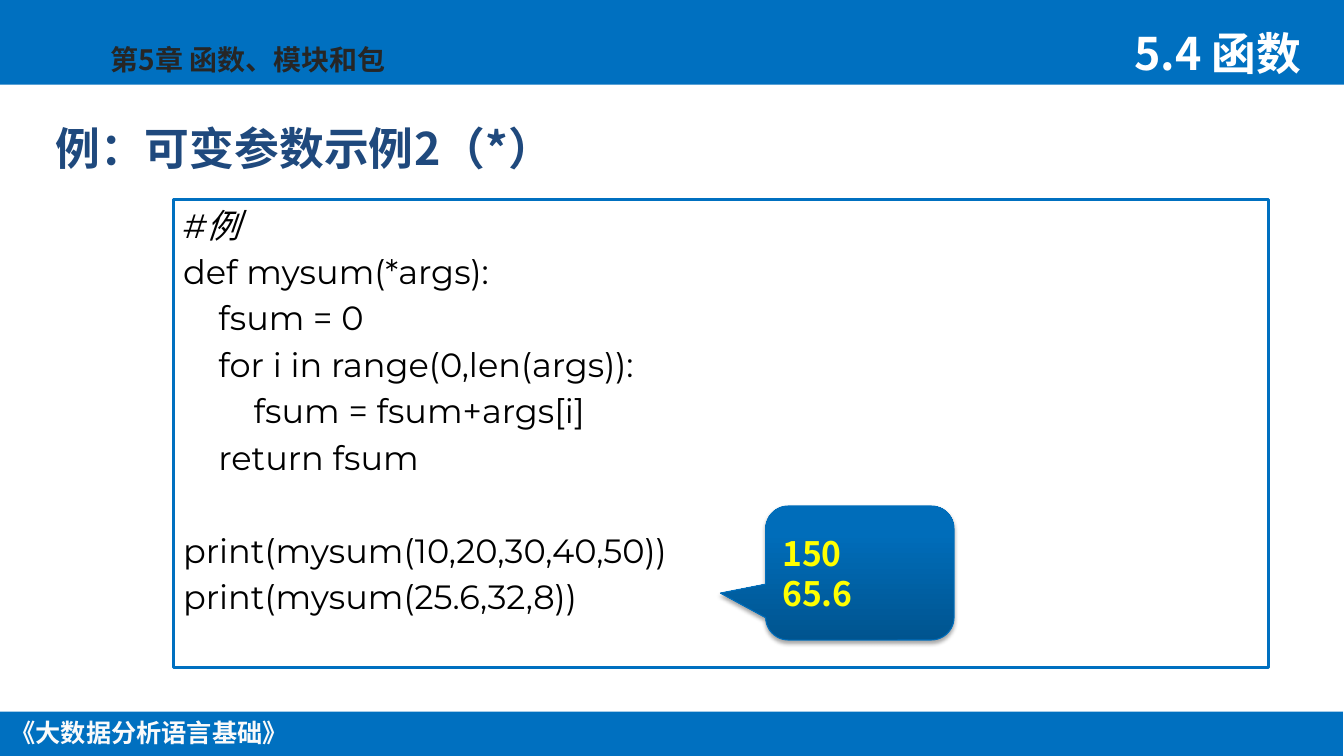
from dataclasses import dataclass
from typing import Optional

import lxml.etree
import pptx
import pptx.dml.color
import pptx.enum.shapes
import pptx.enum.text
import pptx.oxml.ns
import pptx.util

RGBColor = pptx.dml.color.RGBColor
ShapeType = pptx.enum.shapes.MSO_SHAPE
Align = pptx.enum.text.PP_ALIGN
Anchor = pptx.enum.text.MSO_ANCHOR

BLUE = RGBColor(0x00, 0x70, 0xC0)
CALLOUT_DARK = RGBColor(0x00, 0x54, 0x8F)
CALLOUT_LIGHT = RGBColor(0x00, 0x6D, 0xBA)
CALLOUT_LINE = RGBColor(0x00, 0x6E, 0xBC)
NAVY = RGBColor(0x1F, 0x49, 0x7D)
CHARCOAL = RGBColor(0x26, 0x26, 0x26)
OFF_WHITE = RGBColor(0xFA, 0xFA, 0xFA)
WHITE = RGBColor(0xFF, 0xFF, 0xFF)
BLACK = RGBColor(0x00, 0x00, 0x00)
YELLOW = RGBColor(0xFF, 0xFF, 0x00)

HEADING_FONT = "Noto Sans CJK SC"
CODE_FONT = "Montserrat"
EMU_PER_PX = 9144
INDENT_PX = 35
CODE_GAP = 4.35
BLANK_LINE = 33.6


@dataclass(frozen=True)
class Box:
    left: int
    top: int
    width: int
    height: int


@dataclass(frozen=True)
class Label:
    text: str
    box: Box
    size: int
    color: RGBColor
    align: Align = Align.LEFT
    wrap: bool = True


@dataclass(frozen=True)
class CodeLine:
    text: str
    level: int = 0
    space_before: float = CODE_GAP
    italic: bool = False


BANDS = [Box(0, 0, 1334, 84), Box(-1, 706, 1334, 45)]
LABELS = [
    Label("《大数据分析语言基础》", Box(-1, 707, 298, 40), 18, OFF_WHITE, Align.CENTER, False),
    Label("第5章 函数、模块和包", Box(100, 37, 378, 44), 20, CHARCOAL),
    Label("5.4 函数", Box(1116, 21, 221, 64), 32, WHITE),
]
CODE = [
    CodeLine("#例", space_before=0, italic=True),
    CodeLine("def mysum(*args):"),
    CodeLine("fsum = 0", 1),
    CodeLine("for i in range(0,len(args)):", 1),
    CodeLine("fsum = fsum+args[i]", 2),
    CodeLine("return fsum", 1),
    CodeLine("print(mysum(10,20,30,40,50))", space_before=CODE_GAP + BLANK_LINE),
    CodeLine("print(mysum(25.6,32,8))"),
]


def px(length: int) -> pptx.util.Emu:
    return pptx.util.Emu(length * EMU_PER_PX)


def place(box: Box) -> tuple:
    return px(box.left), px(box.top), px(box.width), px(box.height)


def write_text(paragraph, text: str, *, size: int, color: RGBColor,
               font: str = HEADING_FONT, bold: bool = True, italic: bool = False,
               align: Align = Align.LEFT, level: int = 0,
               space_before: float = 0, line_spacing: Optional[float] = None) -> None:
    paragraph.alignment = align
    paragraph.space_before = pptx.util.Pt(space_before)
    if line_spacing:
        paragraph.line_spacing = line_spacing
    if level:
        properties = paragraph._p.get_or_add_pPr()
        properties.set("marL", str(px(level * INDENT_PX)))
        properties.set("indent", "0")
    run = paragraph.add_run()
    run.text = text
    run.font.size = pptx.util.Pt(size)
    run.font.name = font
    run.font.bold = bold
    run.font.italic = italic
    run.font.color.rgb = color
    east_asian = lxml.etree.SubElement(run._r.get_or_add_rPr(), pptx.oxml.ns.qn("a:ea"))
    east_asian.set("typeface", font)


def next_paragraph(frame, index: int):
    return frame.add_paragraph() if index else frame.paragraphs[0]


def add_box(slide, kind: ShapeType, box: Box, fill: RGBColor):
    shape = slide.shapes.add_shape(kind, *place(box))
    shape.shadow.inherit = False
    shape.fill.solid()
    shape.fill.fore_color.rgb = fill
    shape.line.fill.background()
    return shape


def add_label(slide, label: Label) -> None:
    frame = slide.shapes.add_textbox(*place(label.box)).text_frame
    frame.word_wrap = label.wrap
    write_text(frame.paragraphs[0], label.text, size=label.size,
               color=label.color, align=label.align)


def add_title(slide) -> None:
    title = slide.shapes.title
    title.left, title.top, title.width, title.height = place(Box(45, 76, 902, 103))
    frame = title.text_frame
    frame.auto_size = pptx.enum.text.MSO_AUTO_SIZE.NONE
    frame.vertical_anchor = Anchor.BOTTOM
    write_text(frame.paragraphs[0], "例：可变参数示例2（*）", size=32,
               color=NAVY, line_spacing=0.9)


def add_code(slide) -> None:
    shape = add_box(slide, ShapeType.RECTANGLE, Box(172, 198, 1087, 464), WHITE)
    shape.line.color.rgb = BLUE
    shape.line.width = pptx.util.Pt(2)
    frame = shape.text_frame
    frame.word_wrap = True
    frame.vertical_anchor = Anchor.TOP
    for index, line in enumerate(CODE):
        write_text(next_paragraph(frame, index), line.text, size=24, color=BLACK,
                   font=CODE_FONT, bold=False, italic=line.italic,
                   level=line.level, space_before=line.space_before)


def add_shadow(shape) -> None:
    qn = pptx.oxml.ns.qn
    effects = shape._element.spPr.find(qn("a:effectLst"))
    shadow = lxml.etree.SubElement(
        effects, qn("a:outerShdw"), blurRad=str(pptx.util.Pt(3.1)),
        dist=str(pptx.util.Pt(1.8)), dir="5400000", rotWithShape="0")
    color = lxml.etree.SubElement(shadow, qn("a:srgbClr"), val=str(BLACK))
    lxml.etree.SubElement(color, qn("a:alpha"), val="35000")


def add_output_callout(slide) -> None:
    shape = add_box(slide, ShapeType.ROUNDED_RECTANGULAR_CALLOUT,
                    Box(760, 502, 187, 133), CALLOUT_LIGHT)
    for index, value in enumerate((-0.74, 0.15, 0.17)):
        shape.adjustments[index] = value
    shape.fill.gradient()
    shape.fill.gradient_angle = 90
    stops = ((0, CALLOUT_DARK), (0.8, CALLOUT_LIGHT))
    for stop, (position, color) in zip(shape.fill.gradient_stops, stops):
        stop.position = position
        stop.color.rgb = color
    shape.line.color.rgb = CALLOUT_LINE
    shape.line.width = pptx.util.Pt(0.75)
    add_shadow(shape)
    frame = shape.text_frame
    frame.vertical_anchor = Anchor.MIDDLE
    for index, text in enumerate(("150", "65.6")):
        write_text(next_paragraph(frame, index), text, size=24, color=YELLOW)


def main() -> None:
    presentation = pptx.Presentation()
    presentation.slide_width, presentation.slide_height = px(1334), px(750)
    slide = presentation.slides.add_slide(presentation.slide_layouts.get_by_name("Title Only"))
    for band in BANDS:
        add_box(slide, ShapeType.RECTANGLE, band, BLUE)
    for label in LABELS:
        add_label(slide, label)
    add_title(slide)
    add_code(slide)
    add_output_callout(slide)
    presentation.save("out.pptx")


if __name__ == "__main__":
    main()
